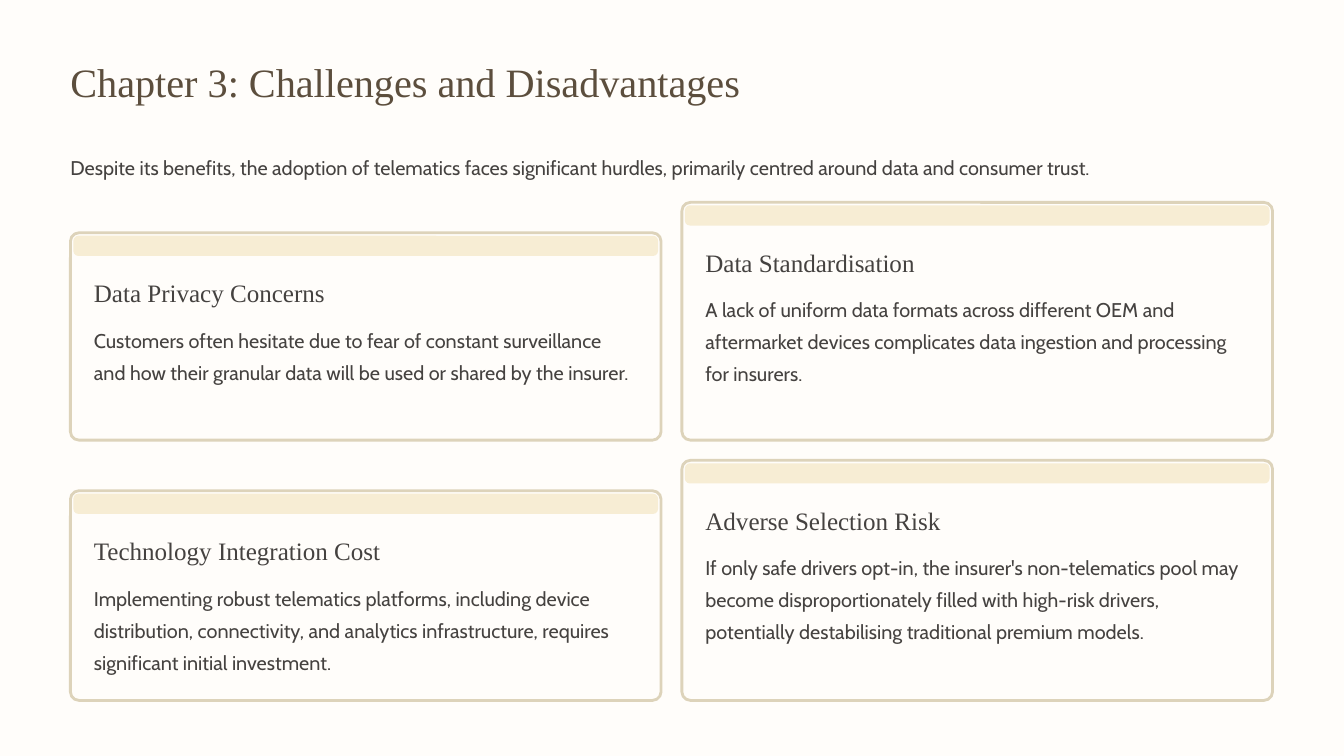
from pptx import Presentation
from pptx.dml.color import RGBColor
from pptx.enum.shapes import MSO_SHAPE as Shape
from pptx.enum.text import MSO_ANCHOR as Anchor, MSO_AUTO_SIZE as Fit, PP_ALIGN as Align
from pptx.util import Cm, Pt

TITLE = "Chapter 3: Challenges and Disadvantages"
INTRO = ("Despite its benefits, the adoption of telematics faces significant hurdles, "
         "primarily centred around data and consumer trust.")
CARDS = [
    ("Data Privacy Concerns",
     "Customers often hesitate due to fear of constant surveillance and how their "
     "granular data will be used or shared by the insurer."),
    ("Data Standardisation",
     "A lack of uniform data formats across different OEM and aftermarket devices "
     "complicates data ingestion and processing for insurers."),
    ("Technology Integration Cost",
     "Implementing robust telematics platforms, including device distribution, "
     "connectivity, and analytics infrastructure, requires significant initial investment."),
    ("Adverse Selection Risk",
     "If only safe drivers opt-in, the insurer's non-telematics pool may become "
     "disproportionately filled with high-risk drivers, potentially destabilising "
     "traditional premium models."),
]

CREAM = RGBColor(0xFF, 0xFD, 0xFA)
SAND = RGBColor(0xF7, 0xED, 0xD4)
EDGE = RGBColor(0xDD, 0xD3, 0xBA)
BROWN = RGBColor(0x5C, 0x4E, 0x3D)
INK = RGBColor(0x45, 0x42, 0x40)
SERIF, SANS = "Times New Roman", "Cabin"

LEFT, WIDTH, STEP = 2.13, 17.86, 18.49
TOPS = (7.04, 6.12)
ENDS = (13.31, 21.18)
PITCH = 7.8
INSET, PAD = 0.09, 0.71


def write(box, text, face, size, lead, color):
    """Fill a box with one left-aligned paragraph."""
    frame = box.text_frame
    frame.text = text
    frame.word_wrap = True
    frame.auto_size = Fit.NONE
    frame.vertical_anchor = Anchor.TOP
    frame.margin_left = frame.margin_right = 0
    frame.margin_top = frame.margin_bottom = 0
    para = frame.paragraphs[0]
    para.alignment = Align.LEFT
    para.line_spacing = Pt(lead)
    para.space_before = Pt(0)
    font = para.runs[0].font
    font.name, font.size = face, Pt(size)
    font.color.rgb = color


def label(slide, x, y, w, h, *style):
    """Add a text box with the given text style."""
    write(slide.shapes.add_textbox(Cm(x), Cm(y), Cm(w), Cm(h)), *style)


def panel(slide, x, y, w, h, radius, fill, edge=None):
    """Add a rounded panel, outlined if an edge colour is given."""
    shape = slide.shapes.add_shape(Shape.ROUNDED_RECTANGLE, Cm(x), Cm(y), Cm(w), Cm(h))
    shape.adjustments[0] = radius / min(w, h)
    shape.shadow.inherit = False
    shape.fill.solid()
    shape.fill.fore_color.rgb = fill
    if edge is None:
        shape.line.fill.background()
    else:
        shape.line.color.rgb = edge
        shape.line.width = Pt(2.4)


def card(slide, x, y, h, head, body):
    """Draw one card with its band, heading and body."""
    panel(slide, x, y, WIDTH, h, 0.26, CREAM, EDGE)
    panel(slide, x + INSET, y + INSET, WIDTH - 2 * INSET, 0.61, 0.15, SAND)
    inner = WIDTH - 2 * PAD
    label(slide, x + PAD, y + 1.31, inner, 0.97, head, SERIF, 21.5, 27, INK)
    label(slide, x + PAD, y + 2.64, inner, 2.95, body, SANS, 17, 27.5, INK)


def main():
    """Build the slide and save it."""
    deck = Presentation()
    deck.slide_width, deck.slide_height = Cm(40.64), Cm(22.86)
    slide = deck.slides.add_slide(deck.slide_layouts[5])
    back = slide.background.fill
    back.solid()
    back.fore_color.rgb = CREAM

    title = slide.shapes.title
    title.left, title.top = Cm(LEFT), Cm(1.68)
    title.width, title.height = Cm(25.7), Cm(1.52)
    write(title, TITLE, SERIF, 34.5, 43, BROWN)
    label(slide, LEFT, 4.45, 36.35, 0.99, INTRO, SANS, 17, 27.5, INK)

    for i, (head, body) in enumerate(CARDS):
        row, col = divmod(i, 2)
        y = TOPS[col] + row * PITCH
        card(slide, LEFT + col * STEP, y, ENDS[row] - y, head, body)
    deck.save("out.pptx")


if __name__ == "__main__":
    main()
